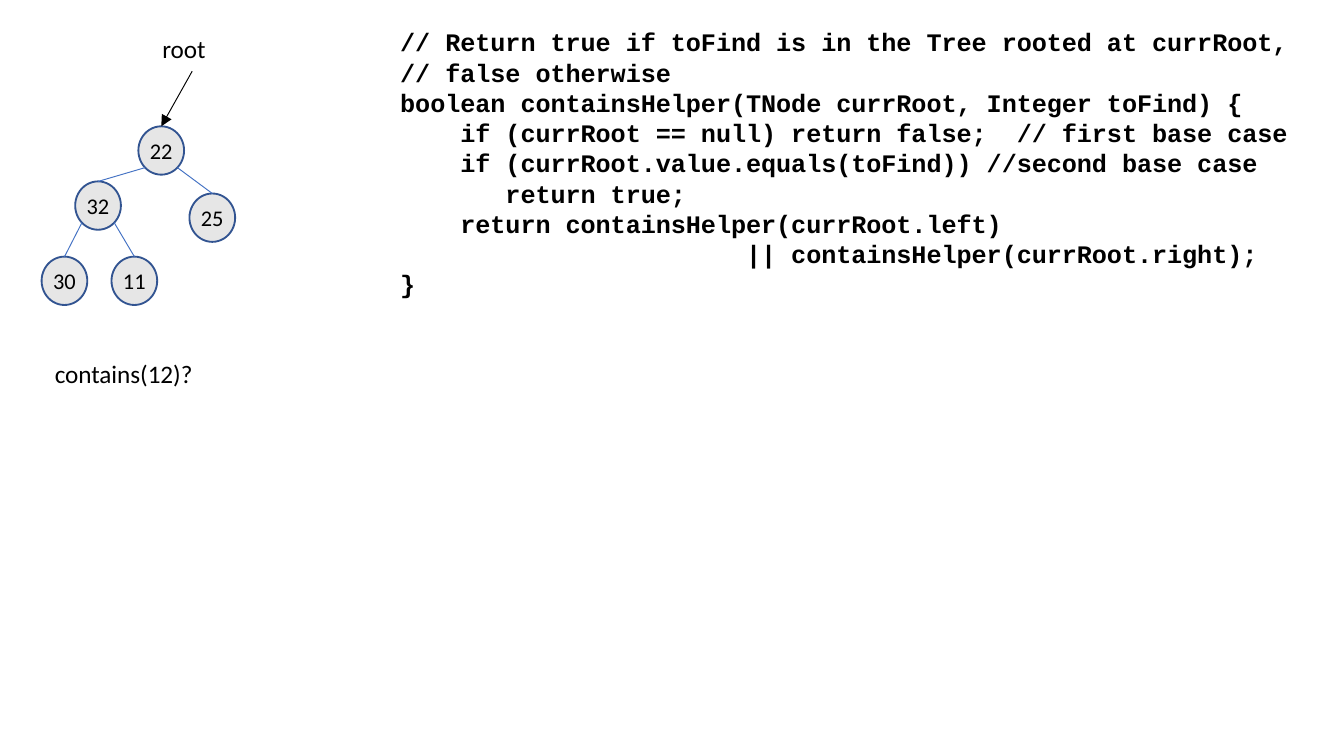
from math import cos, pi, sin

from lxml import etree
from pptx import Presentation
from pptx.dml.color import RGBColor
from pptx.enum.shapes import MSO_CONNECTOR, MSO_SHAPE
from pptx.enum.text import MSO_ANCHOR, MSO_AUTO_SIZE, PP_ALIGN
from pptx.oxml.ns import qn
from pptx.util import Inches, Pt

OVAL = MSO_SHAPE.OVAL
STRAIGHT = MSO_CONNECTOR.STRAIGHT
MIDDLE = MSO_ANCHOR.MIDDLE
CENTER = PP_ALIGN.CENTER
FIT_SHAPE = MSO_AUTO_SIZE.SHAPE_TO_FIT_TEXT
TOP, BOTTOM = 0, 2
NODE_W, NODE_H = 0.34, 0.36

# Value: left, top
NODES = {
    "22": (1.03, 0.94),
    "32": (0.56, 1.35),
    "25": (1.41, 1.44),
    "30": (0.31, 1.91),
    "11": (0.83, 1.91),
}
# Parent: left child, right child
CHILDREN = {"22": ("32", "25"), "32": ("30", "11")}

CODE = """\
// Return true if toFind is in the Tree rooted at currRoot,
// false otherwise
boolean containsHelper(TNode currRoot, Integer toFind) {
    if (currRoot == null) return false;  // first base case
    if (currRoot.value.equals(toFind)) //second base case
       return true;
    return containsHelper(currRoot.left)
                       || containsHelper(currRoot.right);
}"""


def color(hex_string):
    return RGBColor.from_string(hex_string)


class TreeSlide:
    text_color = "000000"
    node_fill = "E6E6E6"
    node_line = "325491"
    edge_color = "4472C4"
    body_font = "Calibri"
    code_font = "Courier New"

    def __init__(self, prs):
        self.s = prs.slides.add_slide(prs.slide_layouts[6])

    def style(self, p, size, font, bold=False):
        p.font.size = Pt(size)
        p.font.name = font
        p.font.bold = bold
        p.font.color.rgb = color(self.text_color)

    def text(self, text, x, y, w, h, font=body_font, bold=False, wrap=False):
        box = self.s.shapes.add_textbox(Inches(x), Inches(y), Inches(w), Inches(h))
        tf = box.text_frame
        tf.word_wrap = wrap
        tf.auto_size = FIT_SHAPE
        tf.text = text
        for p in tf.paragraphs:
            self.style(p, 13.5, font, bold)
        return box

    def node(self, value, x, y):
        sp = self.s.shapes.add_shape(
            OVAL, Inches(x), Inches(y), Inches(NODE_W), Inches(NODE_H))
        sp.shadow.inherit = False
        sp.fill.solid()
        sp.fill.fore_color.rgb = color(self.node_fill)
        sp.line.color.rgb = color(self.node_line)
        sp.line.width = Pt(1)
        tf = sp.text_frame
        tf.margin_left = tf.margin_right = 0
        tf.vertical_anchor = MIDDLE
        tf.text = value
        p = tf.paragraphs[0]
        p.alignment = CENTER
        self.style(p, 12, self.body_font)
        return sp

    def line(self, x, y, target, line_color):
        """Draw a line from a point to the top of the target."""
        cxn = self.s.shapes.add_connector(STRAIGHT, x, y, x, y)
        cxn.end_connect(target, TOP)
        cxn.line.color.rgb = color(line_color)
        cxn.line.width = Pt(0.5)
        etree.SubElement(cxn._element.spPr, qn("a:effectLst"))
        return cxn

    def edge(self, parent, child, side):
        """Leave the parent at 45 degrees; side is -1 for left, 1 for right."""
        x = parent.left + parent.width / 2 * (1 + side * cos(pi / 4))
        y = parent.top + parent.height / 2 * (1 + sin(pi / 4))
        self.line(int(x), int(y), child, self.edge_color)

    def arrow(self, source, target):
        cxn = self.line(source.left, source.top, target, self.text_color)
        cxn.begin_connect(source, BOTTOM)
        etree.SubElement(cxn.line._get_or_add_ln(), qn("a:tailEnd"), type="triangle")


def main():
    prs = Presentation()
    prs.slide_width = Inches(10)
    prs.slide_height = prs.slide_width * 9 // 16
    slide = TreeSlide(prs)

    # Tree
    nodes = {value: slide.node(value, x, y) for value, (x, y) in NODES.items()}
    for parent, children in CHILDREN.items():
        for side, child in zip((-1, 1), children):
            slide.edge(nodes[parent], nodes[child], side)

    # Root pointer
    root = slide.text("root", 1.11, 0.2, 0.64, 0.33, wrap=True)
    slide.arrow(root, nodes["22"])

    # Code and question
    slide.text(CODE, 2.88, 0.15, 7.04, 2.15, font=slide.code_font, bold=True)
    slide.text("contains(12)?", 0.31, 2.62, 1.24, 0.33)

    prs.save("out.pptx")


if __name__ == "__main__":
    main()
